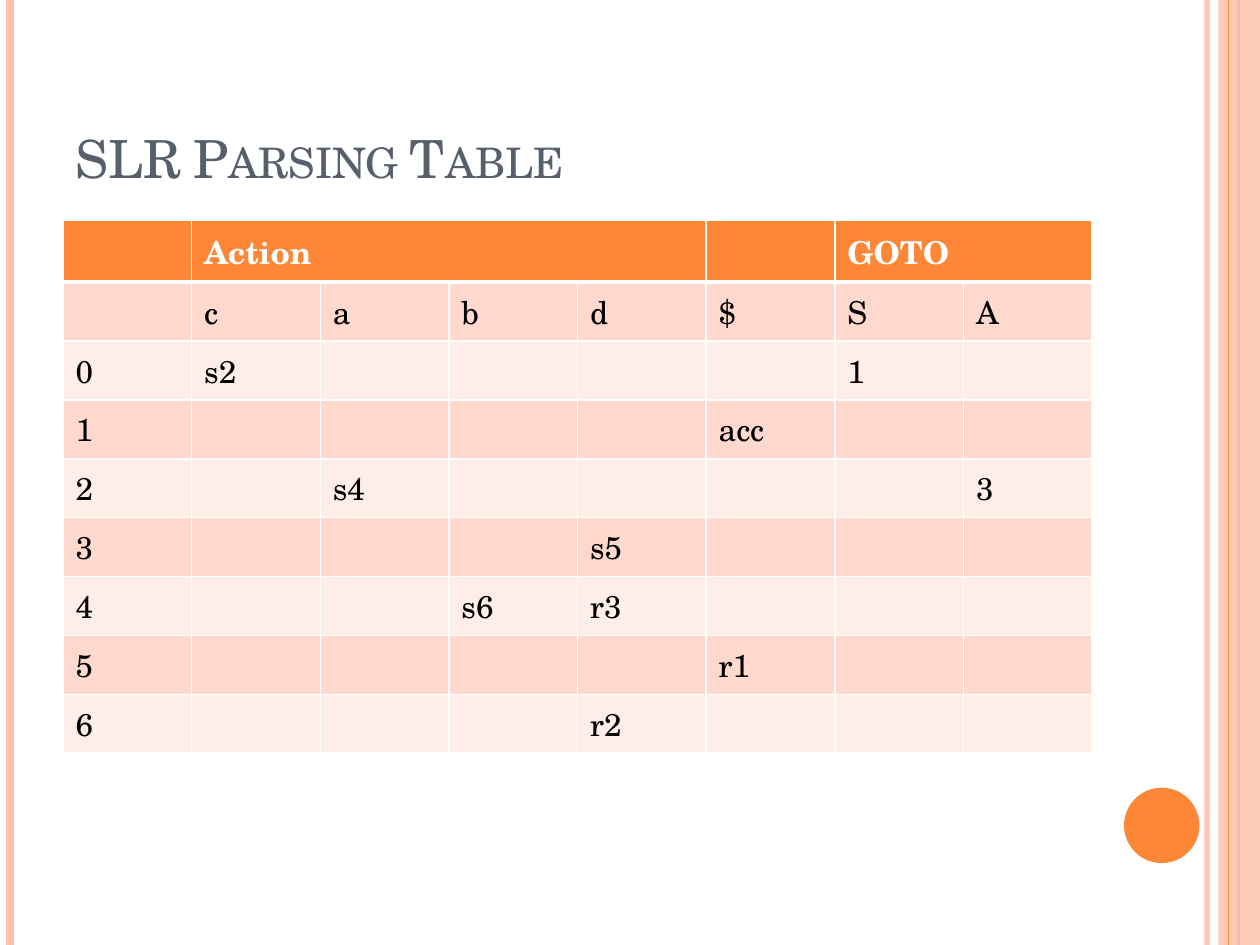
"""Build the SLR parsing table slide."""
import lxml.etree
import pptx
import pptx.dml.color
import pptx.enum.shapes
import pptx.enum.text
import pptx.oxml
import pptx.oxml.ns
import pptx.util

Cm = pptx.util.Cm
Pt = pptx.util.Pt
qn = pptx.oxml.ns.qn

FONT = "TeX Gyre Schola"
COLORS = {
    "orange": "FE8637",
    "peach": "FEC3AE",
    "dark": "FFD9CE",
    "light": "FFEDE8",
    "slate": "575F6D",
    "white": "FFFFFF",
    "black": "000000",
}
TALL = 19.05
COLS = ["", "c", "a", "b", "d", "$", "S", "A"]
MOVES = [
    {"c": "s2", "S": "1"},
    {"$": "acc"},
    {"a": "s4", "A": "3"},
    {"d": "s5"},
    {"b": "s6", "d": "r3"},
    {"$": "r1"},
    {"d": "r2"},
]
HEADS = {1: ("Action", 4), 6: ("GOTO", 2)}


def rgb(name):
    return pptx.dml.color.RGBColor.from_string(COLORS[name])


def paint(fill, name, alpha=100):
    fill.solid()
    fill.fore_color.rgb = rgb(name)
    if alpha < 100:
        tint = fill._xPr.find(".//" + qn("a:srgbClr"))
        lxml.etree.SubElement(tint, qn("a:alpha"), val=str(alpha * 1000))


def style(para, size, color, bold=False):
    font = para.font
    font.name = FONT
    font.size = Pt(size)
    font.bold = bold
    font.color.rgb = rgb(color)


def add_rule(slide, left, width, color, alpha=100):
    kind = pptx.enum.shapes.MSO_CONNECTOR.STRAIGHT
    rule = slide.shapes.add_connector(kind, Cm(left), 0, Cm(left), Cm(TALL))
    rule.line.width = Pt(width)
    paint(rule.line.fill, color, alpha)
    lxml.etree.SubElement(rule._element.spPr, qn("a:effectLst"))


def add_block(slide, kind, box, color, alpha=100):
    block = slide.shapes.add_shape(kind, *map(Cm, box))
    block.shadow.inherit = False
    block.line.fill.background()
    paint(block.fill, color, alpha)


def add_title(slide, text):
    title = slide.shapes.title
    title.left, title.top = Cm(1.27), Cm(0.76)
    title.width, title.height = Cm(20.75), Cm(3.18)
    frame = title.text_frame
    frame.text = text
    frame.word_wrap = True
    frame.vertical_anchor = pptx.enum.text.MSO_ANCHOR.BOTTOM
    para = frame.paragraphs[0]
    para.alignment = pptx.enum.text.PP_ALIGN.LEFT
    style(para, 30, "slate")
    para._p.pPr.find(qn("a:defRPr")).set("cap", "small")


def edge(cell, sides):
    props = cell._tc.get_or_add_tcPr()
    for side, width in sides.items():
        line = lxml.etree.SubElement(props, qn("a:ln" + side), w=str(Pt(width)))
        fill = lxml.etree.SubElement(line, qn("a:solidFill"))
        lxml.etree.SubElement(fill, qn("a:srgbClr"), val=COLORS["white"])


def fill_cell(cell, text, row):
    edge(cell, {"L": 1, "R": 1, "T": 3 if row == 1 else 1, "B": 1 if row else 3})
    paint(cell.fill, ("dark" if row % 2 else "light") if row else "orange")
    cell.text = text
    style(cell.text_frame.paragraphs[0], 18, "black" if row else "white", not row)


def add_grid(slide):
    head = [HEADS.get(col, ("", 1))[0] for col in range(len(COLS))]
    body = [
        [str(state)] + [move.get(sign, "") for sign in COLS[1:]]
        for state, move in enumerate(MOVES)
    ]
    rows = [head, COLS] + body
    box = map(Cm, (1.27, 4.45, 20.75, 9.27))
    grid = slide.shapes.add_table(len(rows), len(COLS), *box).table
    for row, texts in enumerate(rows):
        for col, text in enumerate(texts):
            fill_cell(grid.cell(row, col), text, row)
    for col, (_, span) in HEADS.items():
        grid.cell(0, col).merge(grid.cell(0, col + span - 1))


def main():
    deck = pptx.Presentation()
    deck.slide_width, deck.slide_height = Cm(25.4), Cm(TALL)
    slide = deck.slides.add_slide(deck.slide_layouts[5])
    kinds = pptx.enum.shapes.MSO_SHAPE
    add_rule(slide, 24.33, 3, "peach", 93)
    add_rule(slide, 0.2, 4.5, "peach")
    add_rule(slide, 24.97, 1.5, "orange")
    add_block(slide, kinds.RECTANGLE, (24.56, 0, 0.84, TALL), "peach", 87)
    add_rule(slide, 24.77, 0.75, "orange")
    add_block(slide, kinds.OVAL, (22.66, 15.88, 1.52, 1.52), "orange")
    add_title(slide, "SLR Parsing Table")
    add_grid(slide)
    deck.save("out.pptx")


main()
